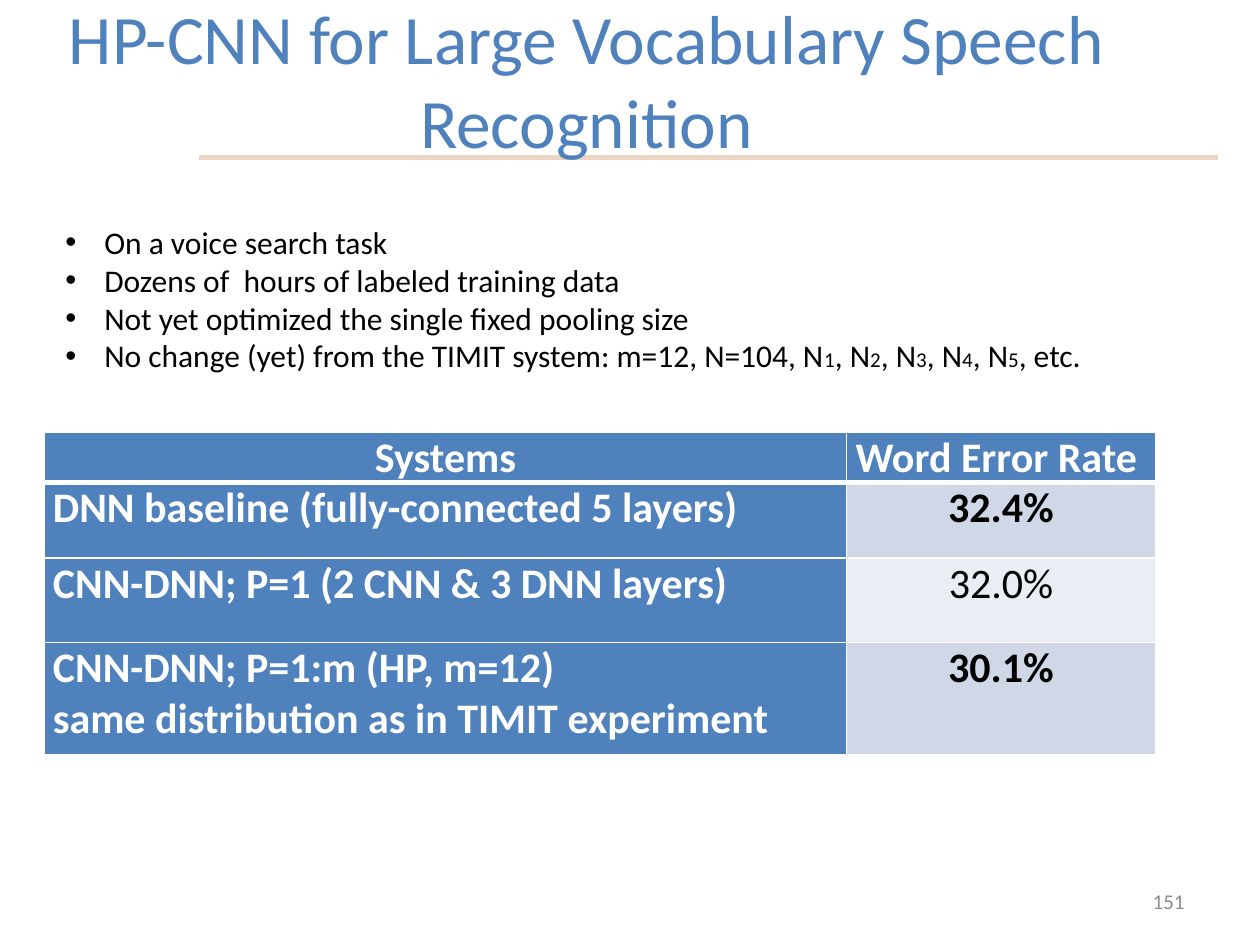
from lxml.etree import SubElement
from pptx import Presentation
from pptx.dml.color import RGBColor
from pptx.enum.shapes import MSO_CONNECTOR
from pptx.enum.text import MSO_ANCHOR, MSO_AUTO_SIZE, PP_ALIGN
from pptx.oxml.ns import qn
from pptx.util import Inches, Pt

TITLE = "HP-CNN for Large Vocabulary Speech Recognition"
PAGE_NUMBER = "151"
# Each bullet is a list of pieces; every second piece is a small index.
BULLETS = [
    ["On a voice search task"],
    ["Dozens of  hours of labeled training data"],
    ["Not yet optimized the single fixed pooling size"],
    ["No change (yet) from the TIMIT system: m=12, N=104, N",
     "1", ", N", "2", ", N", "3", ", N", "4", ", N", "5", ", etc."],
]
HEADER = ("Systems", "Word Error Rate ")
# System lines, word error rate, bold rate
RESULTS = [
    (["DNN baseline (fully-connected 5 layers)"], "32.4%", True),
    (["CNN-DNN; P=1 (2 CNN & 3 DNN layers)"], "32.0%", False),
    (["CNN-DNN; P=1:m (HP, m=12)", "same distribution as in TIMIT experiment"],
     "30.1%", True),
]
COLUMN_WIDTHS = (6.37, 2.45)
ROW_HEIGHTS = (0.4, 0.6, 0.67, 0.89)
FONT = "Calibri"
BLUE, WHITE, BLACK, GRAY, SAND = "4F81BD", "FFFFFF", "000000", "8C8C8C", "ECD5C2"
BANDS = ("D0D8E8", "E9EDF4")


def color(value):
    return RGBColor.from_string(value)


def write(frame, paragraphs, size=18, ink=BLACK, bold=False,
          align=PP_ALIGN.LEFT, bullet=None, index_size=12):
    """Fill a text frame; a paragraph is a list of pieces, odd ones are indexes."""
    for number, pieces in enumerate(paragraphs):
        para = frame.add_paragraph() if number else frame.paragraphs[0]
        if bullet:
            properties = para._p.get_or_add_pPr()
            properties.set("marL", str(Inches(0.31)))
            properties.set("indent", str(-Inches(0.31)))
            SubElement(properties, qn("a:buFont"), typeface="Arial")
            SubElement(properties, qn("a:buChar"), char=bullet)
        para.alignment = align
        for position, piece in enumerate(pieces):
            span = para.add_run()
            span.text = piece
            span.font.name = FONT
            span.font.size = Pt(index_size if position % 2 else size)
            span.font.bold = bold
            span.font.color.rgb = color(ink)


def add_box(page, left, top, width, height, anchor=MSO_ANCHOR.TOP):
    box = page.shapes.add_textbox(
        Inches(left), Inches(top), Inches(width), Inches(height))
    box.text_frame.word_wrap = True
    box.text_frame.vertical_anchor = anchor
    return box.text_frame


def set_borders(cell, **widths):
    """Draw white borders; widths in points are keyed by L, R, T and B."""
    properties = cell._tc.get_or_add_tcPr()
    for position, (side, width) in enumerate(widths.items()):
        border = SubElement(properties, qn("a:ln" + side), w=str(Pt(width)))
        properties.insert(position, border)
        fill = SubElement(border, qn("a:solidFill"))
        SubElement(fill, qn("a:srgbClr"), val=WHITE)


def fill_cell(cell, row, paragraphs, fill, **text_format):
    cell.margin_left = cell.margin_right = Inches(0.07)
    cell.margin_top = cell.margin_bottom = 0
    cell.fill.solid()
    cell.fill.fore_color.rgb = color(fill)
    set_borders(cell, L=1, R=1, T=3 if row == 1 else 1, B=1 if row else 3)
    write(cell.text_frame, paragraphs, size=24, **text_format)


def add_title(page):
    title = page.shapes.title
    title.left, title.top = Inches(-0.82), Inches(0)
    title.width, title.height = Inches(10.95), Inches(1.25)
    frame = title.text_frame
    frame.auto_size = MSO_AUTO_SIZE.NONE
    frame.vertical_anchor = MSO_ANCHOR.MIDDLE
    write(frame, [[TITLE]], size=39.6, ink=BLUE, align=PP_ALIGN.CENTER)


def add_rule(page):
    rule = page.shapes.add_connector(
        MSO_CONNECTOR.STRAIGHT, Inches(1.58), Inches(1.25), Inches(9.67), Inches(1.25))
    rule.line.color.rgb = color(SAND)
    rule.line.width = Pt(3)
    SubElement(rule._element.spPr, qn("a:effectLst"))
    page.shapes.title._element.addprevious(rule._element)


def add_results(page):
    table = page.shapes.add_table(
        len(ROW_HEIGHTS), len(COLUMN_WIDTHS), Inches(0.35), Inches(3.43),
        Inches(sum(COLUMN_WIDTHS)), Inches(sum(ROW_HEIGHTS))).table
    for column, width in zip(table.columns, COLUMN_WIDTHS):
        column.width = Inches(width)
    for row, height in zip(table.rows, ROW_HEIGHTS):
        row.height = Inches(height)
    for column, label in enumerate(HEADER):
        fill_cell(table.cell(0, column), 0, [[label]], BLUE,
                  ink=WHITE, bold=True, align=PP_ALIGN.CENTER)
    for row, (system, rate, bold) in enumerate(RESULTS, start=1):
        fill_cell(table.cell(row, 0), row, [[line] for line in system], BLUE,
                  ink=WHITE, bold=True)
        fill_cell(table.cell(row, 1), row, [[rate]], BANDS[(row - 1) % 2],
                  bold=bold, align=PP_ALIGN.CENTER)


def main():
    deck = Presentation()
    deck.slide_width, deck.slide_height = Inches(10), Inches(7.5)
    page = deck.slides.add_slide(deck.slide_layouts[5])
    add_title(page)
    add_rule(page)
    write(add_box(page, 7.17, 6.95, 2.33, 0.4, MSO_ANCHOR.MIDDLE),
          [[PAGE_NUMBER]], size=12, ink=GRAY, align=PP_ALIGN.RIGHT)
    add_results(page)
    write(add_box(page, 0.42, 1.72, 8.9, 1.31), BULLETS, bullet="•")
    deck.save("out.pptx")


if __name__ == "__main__":
    main()
